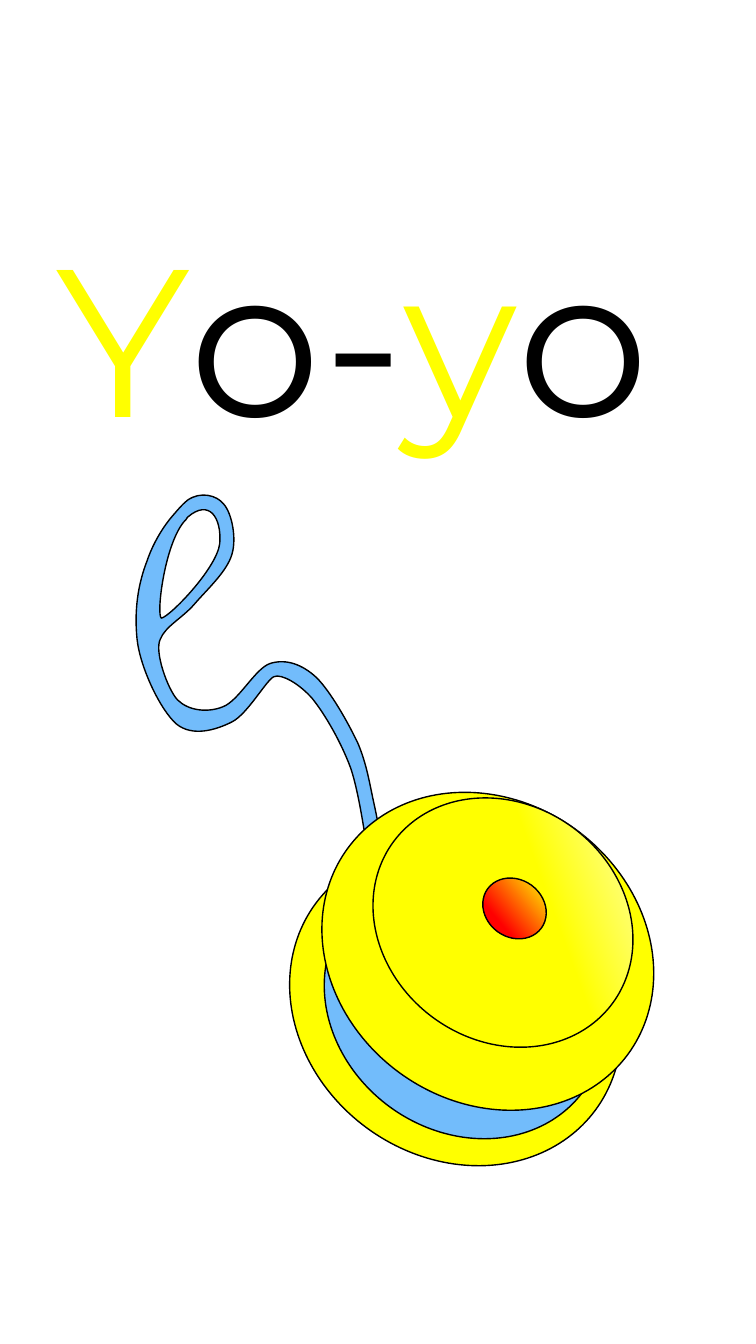
from math import cos, radians, sin

from lxml import etree
from pptx import Presentation
from pptx.dml.color import RGBColor
from pptx.enum.shapes import MSO_SHAPE
from pptx.enum.text import MSO_AUTO_SIZE
from pptx.oxml.ns import qn
from pptx.util import Inches, Pt

OVAL = MSO_SHAPE.OVAL
FIT_SHAPE = MSO_AUTO_SIZE.SHAPE_TO_FIT_TEXT

THEME = {
    "yellow": RGBColor(0xFF, 0xFF, 0x00),
    "blue": RGBColor(0x72, 0xBC, 0xFB),
    "red": RGBColor(0xFF, 0x00, 0x00),
    "white": RGBColor(0xFF, 0xFF, 0xFF),
    "black": RGBColor(0x00, 0x00, 0x00),
    "font": "Montserrat",
    "title_size": Pt(150),
    "outline": Pt(1),
}

SLIDE_SIZE = (7.5, 13.33)
TITLE_BOX = (0.46, 2.01, 7.09, 2.63)
TITLE = [("Y", "yellow"), ("o-", "black"), ("y", "yellow"), ("o", "black")]

STRING_BOX = (1.47, 4.86, 1.99, 3.87)
STRING_TILT = 168.8
# Each contour: start point, then lines (end) and cubic curves
# (control, control, end), as they lie on the slide
STRING_CONTOURS = [
    ((1.7, 5.13), [
        (1.76, 5.06, 1.81, 5, 1.86, 4.96),
        (1.99, 4.87, 2.15, 4.91, 2.22, 5),
        (2.3, 5.09, 2.35, 5.34, 2.3, 5.5),
        (2.25, 5.67, 2.05, 5.85, 1.93, 5.99),
        (1.81, 6.13, 1.64, 6.21, 1.59, 6.34),
        (1.53, 6.46, 1.66, 6.83, 1.76, 6.94),
        (1.87, 7.05, 2.06, 7.07, 2.21, 7.01),
        (2.37, 6.95, 2.53, 6.63, 2.68, 6.58),
        (2.84, 6.53, 3, 6.59, 3.14, 6.72),
        (3.28, 6.86, 3.45, 7.16, 3.55, 7.37),
        (3.64, 7.58, 3.67, 7.79, 3.71, 7.97),
        (3.75, 8.15, 3.79, 8.37, 3.78, 8.46),
        (3.77, 8.52, 3.7, 8.51, 3.66, 8.5),
        (3.65, 8.5),
        (3.65, 8.48),
        (3.62, 8.28, 3.56, 7.86, 3.48, 7.62),
        (3.38, 7.35, 3.22, 7.08, 3.1, 6.93),
        (2.97, 6.78, 2.79, 6.68, 2.72, 6.71),
        (2.65, 6.73, 2.46, 7.08, 2.3, 7.16),
        (2.14, 7.24, 1.91, 7.31, 1.75, 7.18),
        (1.59, 7.04, 1.39, 6.62, 1.36, 6.34),
        (1.33, 6.05, 1.37, 5.79, 1.46, 5.56),
        (1.51, 5.41, 1.6, 5.25, 1.7, 5.13),
    ]),
    ((1.82, 5.18), [
        (1.63, 5.42, 1.55, 6.09, 1.6, 6.13),
        (1.68, 6.12, 2.15, 5.64, 2.18, 5.39),
        (2.2, 5.14, 2.08, 4.94, 1.86, 5.13),
        (1.85, 5.15, 1.84, 5.16, 1.82, 5.18),
    ]),
]

DISC_TILT = 306.4
# Box, then a colour or (clockwise angle, gradient stops)
BACK_DISC = ((3.03, 8.26, 2.98, 3.45), "yellow")
FRONT_DISCS = [
    ((3.35, 8.5, 2.52, 2.92), "blue"),
    ((3.35, 7.71, 2.98, 3.45), "yellow"),
    ((3.82, 7.8, 2.34, 2.7), (340, [(0.61, "yellow"), (1, "white")])),
    ((4.82, 8.68, 0.57, 0.66), (140, [(0.13, "yellow"), (0.67, "red")])),
]


def inches(values):
    return [Inches(v) for v in values]


def paint(sp, fill):
    sp.shadow.inherit = False
    sp.line.color.rgb = THEME["black"]
    sp.line.width = THEME["outline"]
    if isinstance(fill, str):
        sp.fill.solid()
        sp.fill.fore_color.rgb = THEME[fill]
        return
    angle, stops = fill
    sp.fill.gradient()
    sp.fill.gradient_angle = 360 - angle
    for stop, (position, color) in zip(sp.fill.gradient_stops, stops):
        stop.position = position
        stop.color.rgb = THEME[color]
    # The light keeps its direction when the disc is tilted
    sp.element.spPr.find(qn("a:gradFill")).set("rotWithShape", "0")


def add_disc(slide, box, fill):
    sp = slide.shapes.add_shape(OVAL, *inches(box))
    sp.rotation = DISC_TILT
    paint(sp, fill)


def to_string_box(x, y):
    """Turn a slide point back by the tilt, into the box of the string."""
    left, top, width, height = STRING_BOX
    dx, dy = x - left - width / 2, y - top - height / 2
    c, s = cos(radians(STRING_TILT)), sin(radians(STRING_TILT))
    return inches((dx * c + dy * s + width / 2, dy * c - dx * s + height / 2))


def add_step(outline, tag, coords=()):
    step = etree.SubElement(outline, qn(tag))
    for point in zip(coords[::2], coords[1::2]):
        x, y = to_string_box(*point)
        etree.SubElement(step, qn("a:pt"), x=str(x), y=str(y))


def add_string(slide):
    builder = slide.shapes.build_freeform()
    builder.add_line_segments([inches(STRING_BOX[2:])])
    sp = builder.convert_to_shape()
    sp.left, sp.top, sp.width, sp.height = inches(STRING_BOX)
    sp.rotation = STRING_TILT
    # The builder only knows straight lines, so the curves are written here
    outline = next(sp.element.iter(qn("a:path")))
    for step in list(outline):
        outline.remove(step)
    for start, segments in STRING_CONTOURS:
        add_step(outline, "a:moveTo", start)
        for coords in segments:
            tag = "a:lnTo" if len(coords) == 2 else "a:cubicBezTo"
            add_step(outline, tag, coords)
        add_step(outline, "a:close")
    paint(sp, "blue")


def add_title(slide):
    tf = slide.shapes.add_textbox(*inches(TITLE_BOX)).text_frame
    tf.word_wrap = True
    tf.auto_size = FIT_SHAPE
    p = tf.paragraphs[0]
    for text, color in TITLE:
        r = p.add_run()
        r.text = text
        r.font.name = THEME["font"]
        r.font.size = THEME["title_size"]
        r.font.color.rgb = THEME[color]


def main():
    prs = Presentation()
    prs.slide_width, prs.slide_height = inches(SLIDE_SIZE)
    slide = prs.slides.add_slide(prs.slide_layouts[6])
    add_title(slide)
    add_disc(slide, *BACK_DISC)
    add_string(slide)
    for box, fill in FRONT_DISCS:
        add_disc(slide, box, fill)
    prs.save("out.pptx")


if __name__ == "__main__":
    main()
